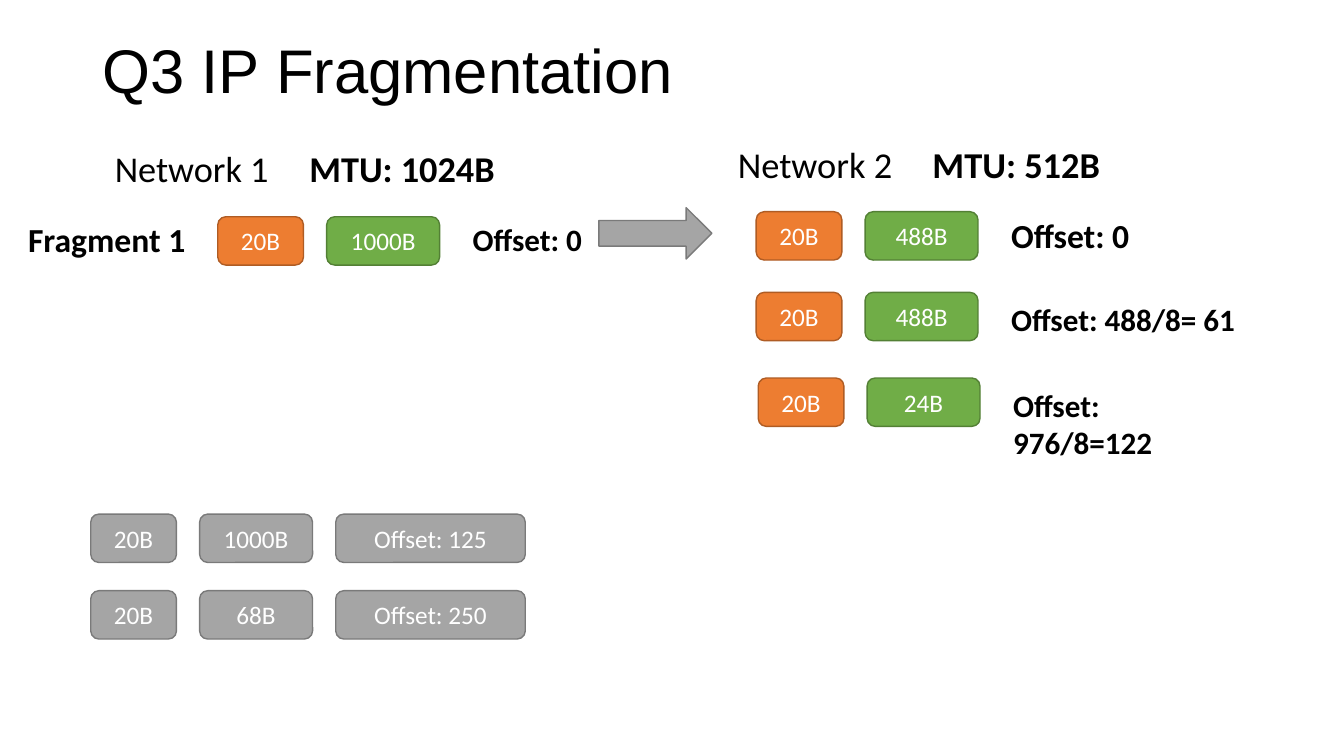
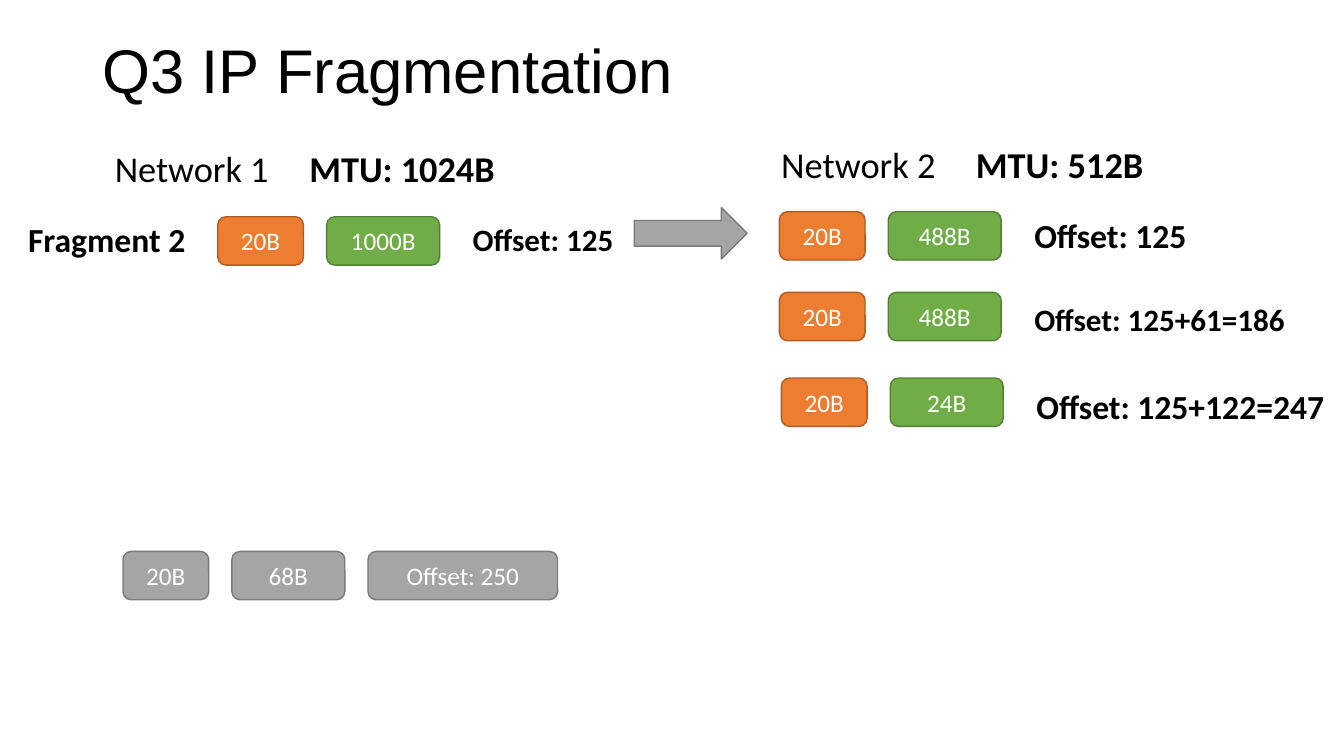
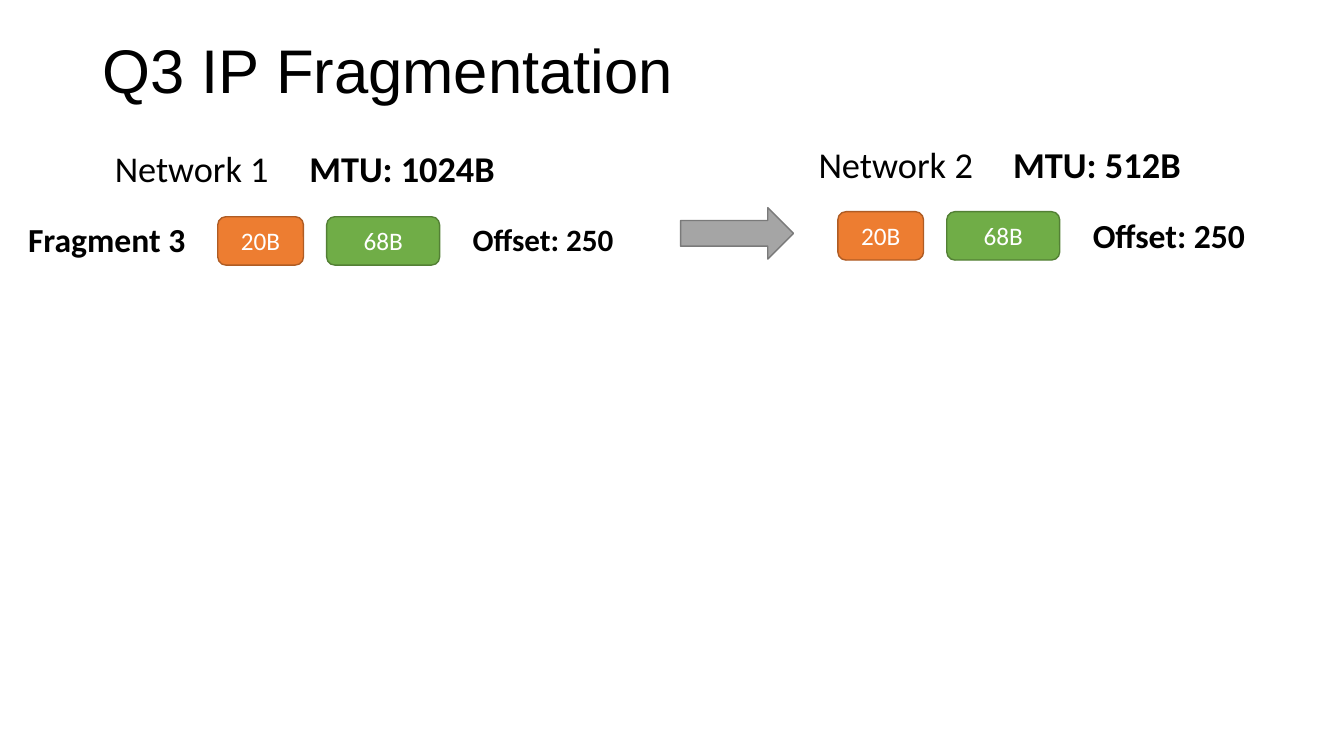
from pptx import Presentation
from pptx.dml.color import RGBColor
from pptx.enum.shapes import MSO_SHAPE
from pptx.enum.text import MSO_ANCHOR, PP_ALIGN
from pptx.oxml import parse_xml
from pptx.oxml.ns import nsdecls
from pptx.util import Inches, Pt

C = {"text": "000000", "white": "FFFFFF",
     "header": "ED7D31", "header_line": "AF5C24",
     "data": "70AD47", "data_line": "538035",
     "grey": "A5A5A5", "grey_line": "7A7A7A"}
FONT = "Calibri"
WIDTHS = [0.85, 1.12, 1.88]
GAP = 0.23
ROW_TOPS = [2.1, 2.9, 3.75]
OFFSET_DX = sum(WIDTHS[:2]) + 2 * GAP
COLOURS = ["header", "data"]
PENDING = ["grey"] * 3

slides = [
    {"fragment": "Fragment 1", "data": "1000B", "offset": "Offset: 0", "offset_w": 1.3,
     "arrow_x": 5.94, "network_x": 7.22, "rows_x": 7.5,
     "rows": [("488B", "Offset: 0", 24, 1.93),
              ("488B", "Offset: 488/8= 61", 22.2, 2.52),
              ("24B", "Offset: 976/8=122", 22.2, 2.48)],
     "pending": [(0.9, 5.1, "1000B", "Offset: 125"), (0.9, 5.86, "68B", "Offset: 250")]},
    {"fragment": "Fragment 2", "data": "1000B", "offset": "Offset: 125", "offset_w": 1.7,
     "arrow_x": 6.29, "network_x": 7.65, "rows_x": 7.73,
     "rows": [("488B", "Offset: 125", 24, 1.93),
              ("488B", "Offset: 125+61=186", 22.2, 2.86),
              ("24B", "Offset: 125+122=247", 24, 3.09)],
     "pending": [(1.22, 5.47, "68B", "Offset: 250")]},
    {"fragment": "Fragment 3", "data": "68B", "offset": "Offset: 250", "offset_w": 1.72,
     "arrow_x": 6.75, "network_x": 8.02, "rows_x": 8.31,
     "rows": [("68B", "Offset: 250", 24, 1.93)],
     "pending": []},
]


def add_label(s, x, y, w, h, runs, size, spacing=0.9, font=FONT):
    tf = s.shapes.add_textbox(Inches(x), Inches(y), Inches(w), Inches(h)).text_frame
    tf.word_wrap = True
    p = tf.paragraphs[0]
    p.line_spacing = spacing
    for text, bold in runs:
        r = p.add_run()
        r.text = text
        r.font.name = font
        r.font.size = Pt(size)
        r.font.bold = bold
        r.font.color.rgb = RGBColor.from_string(C["text"])
    return tf


def add_shapes(s, x, y, texts, colours, preset=MSO_SHAPE.ROUNDED_RECTANGLE, widths=WIDTHS, h=0.48):
    for text, colour, w in zip(texts, colours, widths):
        sp = s.shapes.add_shape(preset, Inches(x), Inches(y), Inches(w), Inches(h))
        sp.shadow.inherit = False
        sp.fill.solid()
        sp.fill.fore_color.rgb = RGBColor.from_string(C[colour])
        sp.line.color.rgb = RGBColor.from_string(C[colour + "_line"])
        sp.line.width = Pt(1)
        if text:
            tf = sp.text_frame
            tf.vertical_anchor = MSO_ANCHOR.MIDDLE
            p = tf.paragraphs[0]
            p.alignment = PP_ALIGN.CENTER
            r = p.add_run()
            r.text = text
            r.font.name = FONT
            r.font.size = Pt(18)
            r.font.color.rgb = RGBColor.from_string(C["white"])
        x += w + GAP


prs = Presentation()
prs.slide_width = Inches(13.33)
prs.slide_height = Inches(7.5)

for item in slides:
    s = prs.slides.add_slide(prs.slide_layouts[6])
    tf = add_label(s, 0.92, 0, 11.5, 1.45, [("Q3 IP Fragmentation", False)], 44, font="Arial")
    tf.vertical_anchor = MSO_ANCHOR.MIDDLE

    for x, y, network, mtu, size in [(1.04, 1.45, "Network 1", "MTU: 1024B", 25.9),
                                     (item["network_x"], 1.41, "Network 2", "MTU: 512B", 26)]:
        tf = add_label(s, x, y, 4.1, 0.59, [(network + "\t", False), (mtu, True)], size)
        tabs = parse_xml(f'<a:tabLst {nsdecls("a")}><a:tab pos="{Inches(1.93)}" algn="l"/></a:tabLst>')
        tf.paragraphs[0]._p.get_or_add_pPr().append(tabs)

    add_shapes(s, item["arrow_x"], 2.06, [""], ["grey"], MSO_SHAPE.RIGHT_ARROW, [1.12], 0.51)

    add_label(s, 0.18, 2.17, 1.8, 0.49, [(item["fragment"], True)], 24)
    add_shapes(s, 2.16, 2.15, ["20B", item["data"]], COLOURS)
    add_label(s, 2.16 + OFFSET_DX, 2.18, item["offset_w"], 0.61, [(item["offset"], True)], 22.2)

    for i, (y, (data, offset, size, w)) in enumerate(zip(ROW_TOPS, item["rows"])):
        x = item["rows_x"] + (0.02 if i == 2 else 0)
        add_shapes(s, x, y, ["20B", data], COLOURS)
        add_label(s, x + OFFSET_DX, y + 0.03, w, 0.61, [(offset, True)], size, 0.9 if i == 0 else 1.0)

    for x, y, data, offset in item["pending"]:
        add_shapes(s, x, y, ["20B", data, offset], PENDING)

prs.save("out.pptx")
